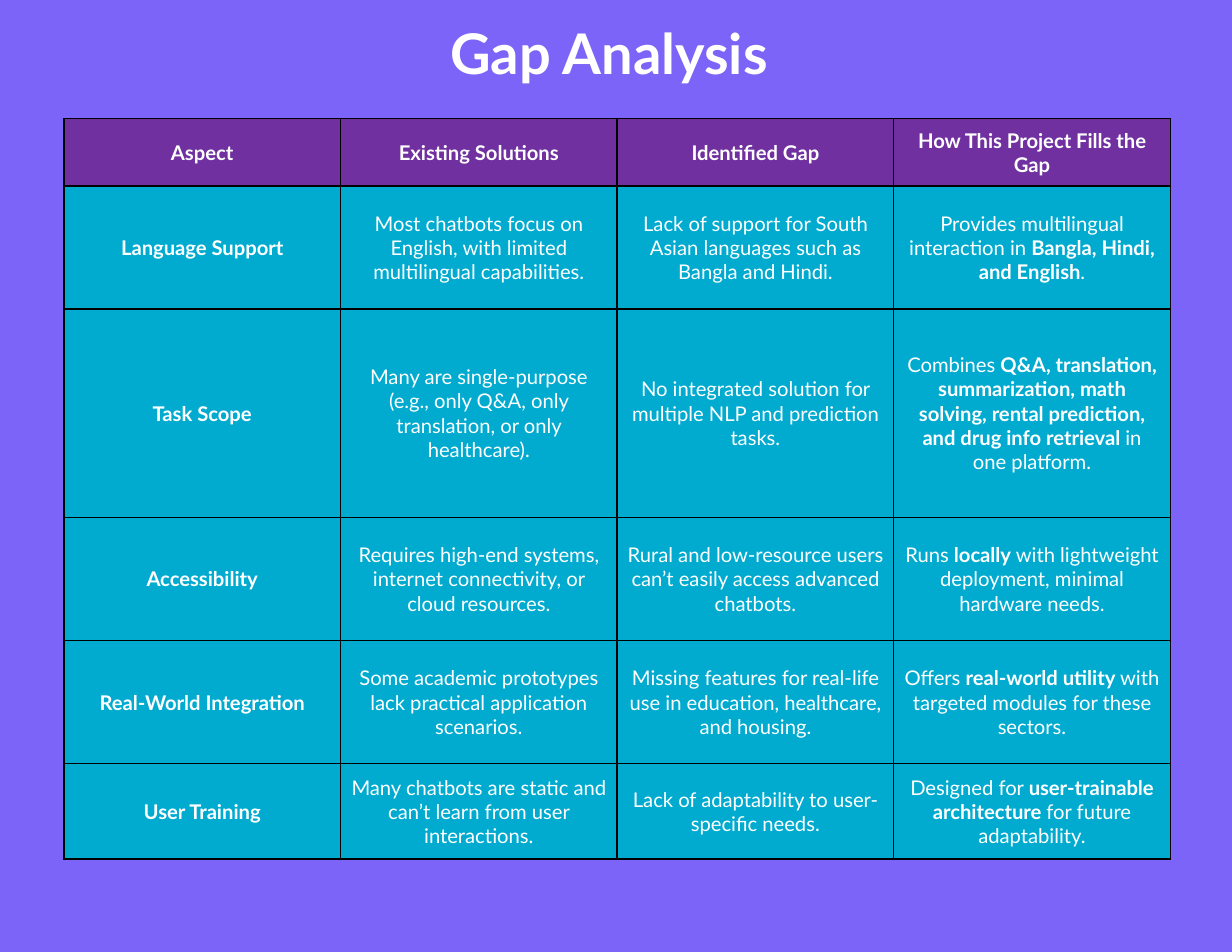
from lxml import etree
from pptx import Presentation
from pptx import util as u
from pptx.dml.color import RGBColor
from pptx.enum import text
from pptx.oxml import ns

BACKGROUND = RGBColor(0x7D, 0x64, 0xF8)
HEADER = RGBColor(0x70, 0x30, 0xA0)
BODY = RGBColor(0x01, 0xAB, 0xD0)
WHITE = RGBColor(0xFF, 0xFF, 0xFF)
BLACK = RGBColor(0x00, 0x00, 0x00)

WIDTH, HEIGHT = u.Inches(11), u.Inches(8.5)
COLUMN = u.Inches(2.47)
ROW_HEIGHTS = [u.Inches(h) for h in (0.6, 1.1, 1.86, 1.1, 1.1, 0.85)]
TITLE_FONT = {"name": "Lato", "size": u.Pt(36), "bold": True}
CELL_FONT = {"name": "Lato", "size": u.Pt(13)}
CELL_FORMAT = {
    "vertical_anchor": text.MSO_ANCHOR.MIDDLE,
    "margin_left": u.Inches(0.09),
    "margin_right": u.Inches(0.09),
    "margin_top": u.Inches(0.04),
    "margin_bottom": u.Inches(0.04),
}
BOLD_MARK = "**"

GAPS = [
    ["**Aspect**", "**Existing Solutions**", "**Identified Gap**",
     "**How This Project Fills the Gap**"],
    ["**Language Support**",
     "Most chatbots focus on English, with limited multilingual capabilities.",
     "Lack of support for South Asian languages such as Bangla and Hindi.",
     "Provides multilingual interaction in **Bangla, Hindi, and English**."],
    ["**Task Scope**",
     "Many are single-purpose (e.g., only Q&A, only translation, or only healthcare).",
     "No integrated solution for multiple NLP and prediction tasks.",
     "Combines **Q&A, translation, summarization, math solving, rental prediction, "
     "and drug info retrieval** in one platform."],
    ["**Accessibility**",
     "Requires high-end systems, internet connectivity, or cloud resources.",
     "Rural and low-resource users can’t easily access advanced chatbots.",
     "Runs **locally** with lightweight deployment, minimal hardware needs."],
    ["**Real-World Integration**",
     "Some academic prototypes lack practical application scenarios.",
     "Missing features for real-life use in education, healthcare, and housing.",
     "Offers **real-world utility** with targeted modules for these sectors."],
    ["**User Training**",
     "Many chatbots are static and can’t learn from user interactions.",
     "Lack of adaptability to user-specific needs.",
     "Designed for **user-trainable architecture** for future adaptability."],
]


def apply_format(target, values):
    for name, value in values.items():
        setattr(target, name, value)


def format_font(font, values):
    apply_format(font, values)
    font.color.rgb = WHITE


def add_title(slide, wording):
    title = slide.shapes.title
    apply_format(title, {"left": u.Inches(3.92), "top": u.Inches(0.11),
                         "width": u.Inches(3.36), "height": u.Inches(0.71)})
    title.text_frame.text = wording
    apply_format(title.text_frame, {"auto_size": text.MSO_AUTO_SIZE.NONE,
                                    "vertical_anchor": text.MSO_ANCHOR.MIDDLE})
    heading = title.text_frame.paragraphs[0]
    heading.alignment = text.PP_ALIGN.LEFT
    format_font(heading.runs[0].font, TITLE_FONT)


def add_borders(cell):
    properties = cell._tc.get_or_add_tcPr()
    for position, side in enumerate(("lnL", "lnR", "lnT", "lnB")):
        border = etree.Element(ns.qn(f"a:{side}"), w=str(u.Pt(1)))
        fill = etree.SubElement(border, ns.qn("a:solidFill"))
        etree.SubElement(fill, ns.qn("a:srgbClr"), val=str(BLACK))
        properties.insert(position, border)


def fill_cell(cell, wording, colour):
    apply_format(cell, CELL_FORMAT)
    cell.fill.solid()
    cell.fill.fore_color.rgb = colour
    add_borders(cell)
    entry = cell.text_frame.paragraphs[0]
    entry.alignment = text.PP_ALIGN.CENTER
    for index, part in enumerate(wording.split(BOLD_MARK)):
        if part:
            run = entry.add_run()
            run.text = part
            format_font(run.font, {**CELL_FONT, "bold": index % 2 == 1})


def add_gap_table(slide, rows):
    count = len(rows[0])
    table = slide.shapes.add_table(
        len(rows), count, u.Inches(0.57), u.Inches(1.06),
        COLUMN * count, sum(ROW_HEIGHTS)).table
    for column in table.columns:
        column.width = COLUMN
    for number, (row, height) in enumerate(zip(rows, ROW_HEIGHTS)):
        table.rows[number].height = height
        for cell, wording in zip(table.rows[number].cells, row):
            fill_cell(cell, wording, BODY if number else HEADER)


def main():
    deck = Presentation()
    apply_format(deck, {"slide_width": WIDTH, "slide_height": HEIGHT})
    slide = deck.slides.add_slide(deck.slide_layouts.get_by_name("Title Only"))
    slide.background.fill.solid()
    slide.background.fill.fore_color.rgb = BACKGROUND
    add_title(slide, "Gap Analysis")
    add_gap_table(slide, GAPS)
    deck.save("out.pptx")


if __name__ == "__main__":
    main()
